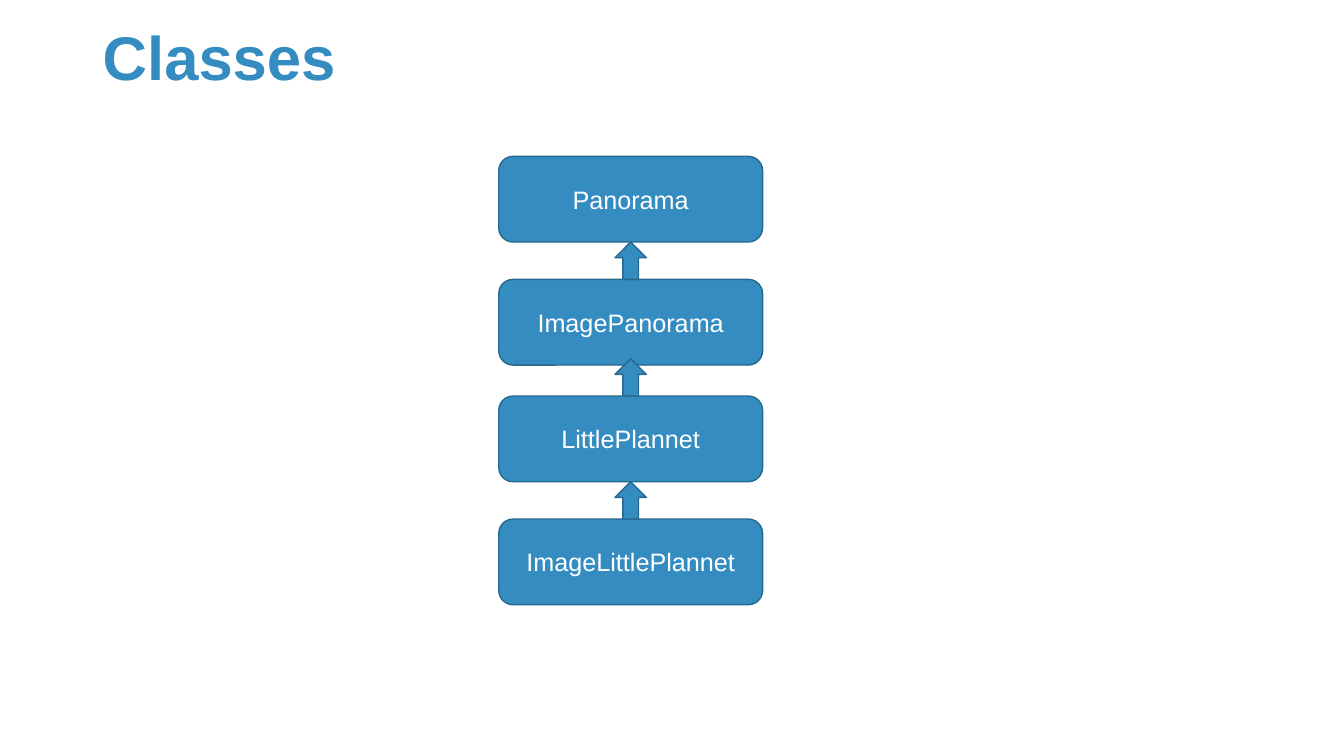
from pptx import Presentation
from pptx.dml.color import RGBColor
from pptx.enum.shapes import MSO_SHAPE as Shape
from pptx.enum.text import MSO_ANCHOR as Anchor, PP_ALIGN as Align
from pptx.util import Cm, Pt

HEADING = "Classes"
CLASS_TOPS = [
    ("Panorama", 3.94),
    ("ImagePanorama", 7.04),
    ("LittlePlannet", 9.98),
    ("ImageLittlePlannet", 13.08),
]

BLUE = RGBColor(0x35, 0x8C, 0xC1)
DARK_BLUE = RGBColor(0x27, 0x68, 0x8F)
WHITE = RGBColor(0xFF, 0xFF, 0xFF)
FONT = "Arial"

CLASS_LEFT, CLASS_WIDTH, CLASS_HEIGHT = 12.57, 6.65, 2.16
ARROW_WIDTH, ARROW_HEIGHT = 0.79, 0.94
ARROW_LEFT = CLASS_LEFT + (CLASS_WIDTH - ARROW_WIDTH) / 2


def write(frame, text, size, color, bold=False):
    frame.word_wrap = True
    frame.vertical_anchor = Anchor.MIDDLE
    line = frame.paragraphs[0]
    line.text = text
    line.font.name = FONT
    line.font.size = Pt(size)
    line.font.bold = bold
    line.font.color.rgb = color
    return line


def add_blue(slide, kind, left, top, width, height):
    block = slide.shapes.add_shape(kind, Cm(left), Cm(top), Cm(width), Cm(height))
    block.shadow.inherit = False
    block.fill.solid()
    block.fill.fore_color.rgb = BLUE
    block.line.color.rgb = DARK_BLUE
    block.line.width = Pt(1)
    return block


def main():
    deck = Presentation()
    deck.slide_width, deck.slide_height = Cm(33.87), Cm(19.05)
    slide = deck.slides.add_slide(deck.slide_layouts[6])

    heading = slide.shapes.add_textbox(Cm(2.34), Cm(0.51), Cm(29.21), Cm(2.03))
    write(heading.text_frame, HEADING, 44, BLUE, bold=True).line_spacing = 0.9

    for index, (name, top) in enumerate(CLASS_TOPS):
        class_box = add_blue(slide, Shape.ROUNDED_RECTANGLE,
                             CLASS_LEFT, top, CLASS_WIDTH, CLASS_HEIGHT)
        write(class_box.text_frame, name, 18, WHITE).alignment = Align.CENTER
        if index:
            add_blue(slide, Shape.UP_ARROW,
                     ARROW_LEFT, top - ARROW_HEIGHT, ARROW_WIDTH, ARROW_HEIGHT)

    deck.save("out.pptx")


if __name__ == "__main__":
    main()
